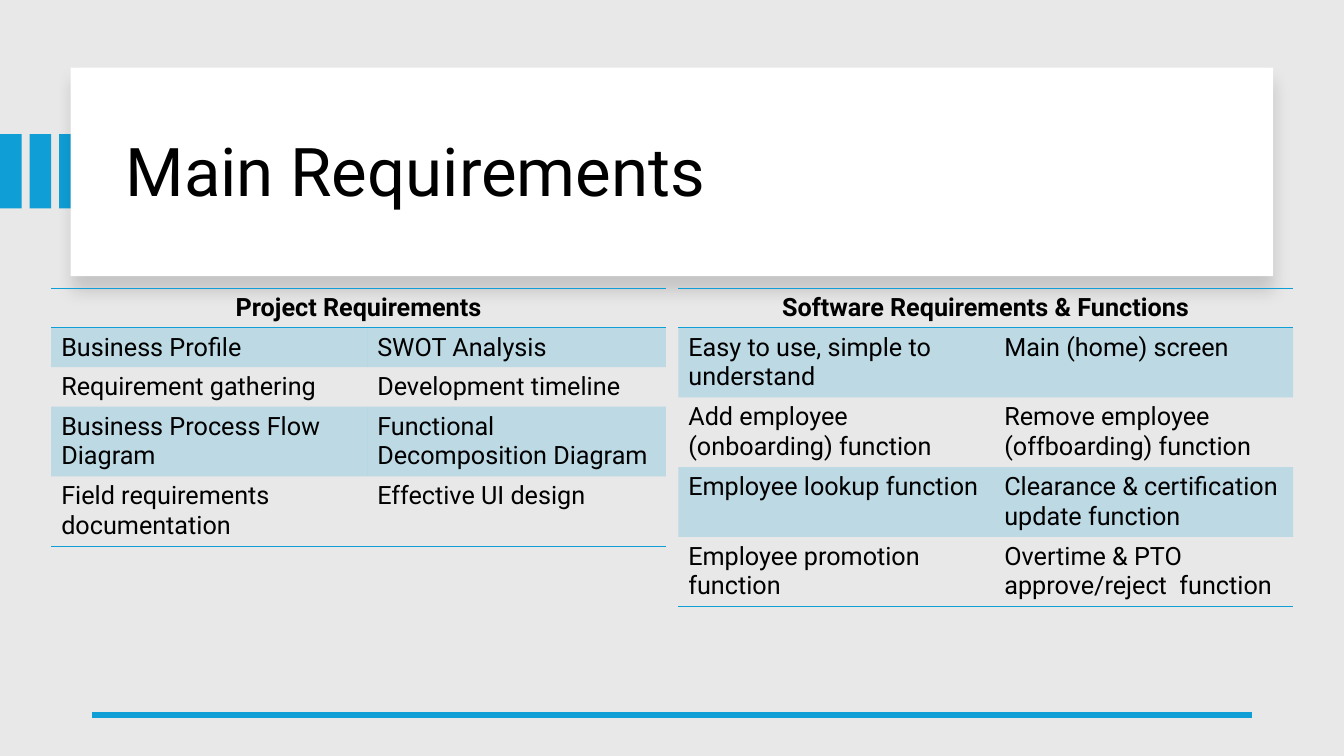
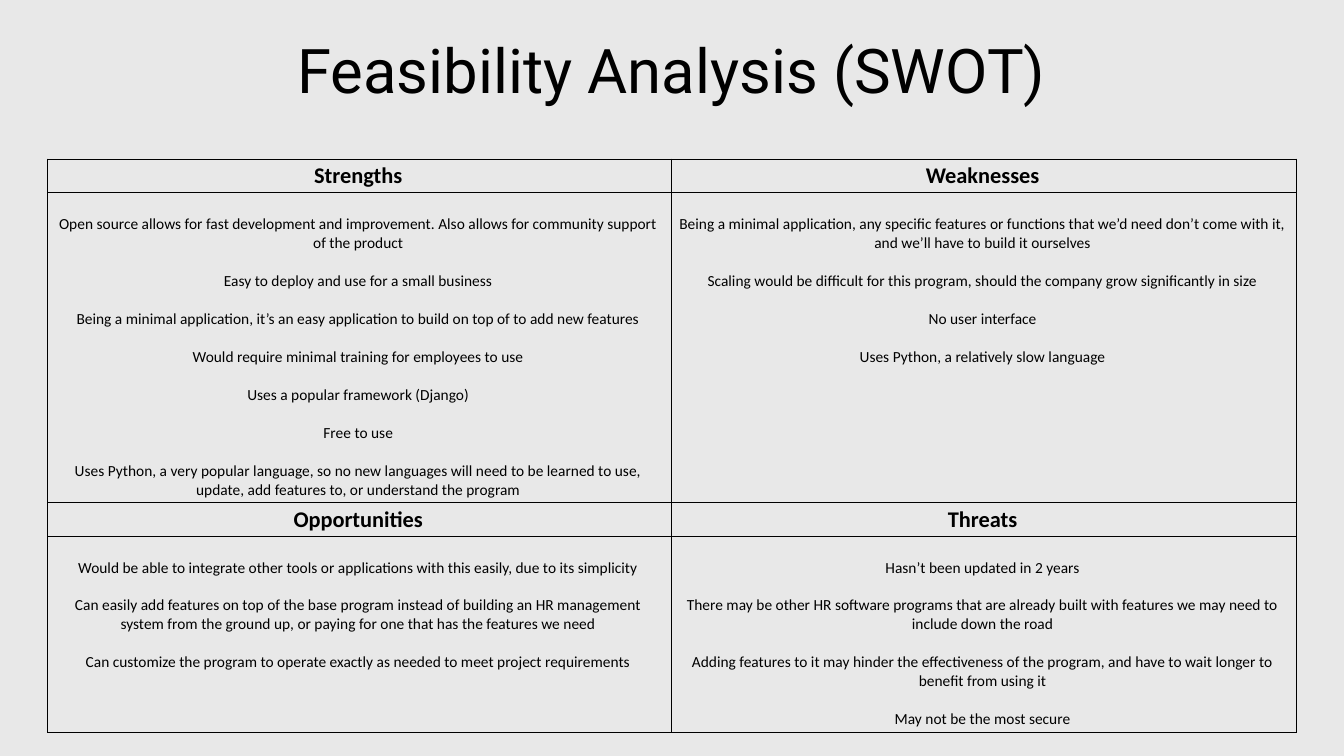
from lxml import etree
from pptx import Presentation
from pptx.dml.color import RGBColor
from pptx.enum import shapes, text
from pptx.oxml import ns
from pptx.util import Pt

BLUE = RGBColor(0x0F, 0x9E, 0xD5)
BLACK = RGBColor(0, 0, 0)
WHITE = RGBColor(0xFF, 0xFF, 0xFF)
GRAY = RGBColor(0xE8, 0xE8, 0xE8)
HEADING_FONT = "Roboto"
BODY_FONT = "Calibri"
NO_STYLE = "{2D5ABB26-0587-4C30-8999-92F81FD0307C}"

PROJECT = ("Project Requirements", [
    ("Business Profile", "SWOT Analysis"),
    ("Requirement gathering", "Development timeline"),
    ("Business Process Flow Diagram", "Functional Decomposition Diagram"),
    ("Field requirements documentation", "Effective UI design"),
], [28.2, 28.2, 28.2, 49.6, 49.6])

SOFTWARE = ("Software Requirements & Functions", [
    ("Easy to use, simple to understand", "Main (home) screen"),
    ("Add employee (onboarding) function", "Remove employee (offboarding) function"),
    ("Employee lookup function", "Clearance & certification update function"),
    ("Employee promotion function", "Overtime & PTO approve/reject  function"),
], [28.2] + [49.6] * 4)

SWOT = [
    [("Strengths", [
        "Open source allows for fast development and improvement. "
        "Also allows for community support of the product",
        "Easy to deploy and use for a small business",
        "Being a minimal application, it’s an easy application to build on top of to add new features",
        "Would require minimal training for employees to use",
        "Uses a popular framework (Django)",
        "Free to use",
        "Uses Python, a very popular language, so no new languages will need to be learned to use, "
        "update, add features to, or understand the program",
    ]), ("Weaknesses", [
        "Being a minimal application, any specific features or functions that we’d need "
        "don’t come with it, and we’ll have to build it ourselves",
        "Scaling would be difficult for this program, should the company grow significantly in size",
        "No user interface",
        "Uses Python, a relatively slow language",
    ])],
    [("Opportunities", [
        "Would be able to integrate other tools or applications with this easily, due to its simplicity",
        "Can easily add features on top of the base program instead of building an HR management system "
        "from the ground up, or paying for one that has the features we need",
        "Can customize the program to operate exactly as needed to meet project requirements",
    ]), ("Threats", [
        "Hasn’t been updated in 2 years",
        "There may be other HR software programs that are already built with features "
        "we may need to include down the road",
        "Adding features to it may hinder the effectiveness of the program, "
        "and have to wait longer to benefit from using it",
        "May not be the most secure",
    ])],
]


def add_xml(parent, tag, **attributes):
    return etree.SubElement(parent, ns.qn(tag), attributes)


def write(frame, lines, size, font=HEADING_FONT, bold=False,
          align=text.PP_ALIGN.LEFT, spacing=1.0, gap=0):
    for index, line in enumerate(lines):
        para = frame.paragraphs[0] if index == 0 else frame.add_paragraph()
        para.alignment = align
        para.line_spacing = spacing
        para.space_before = Pt(gap if index else 0)
        span = para.add_run()
        span.text = line
        span.font.size = Pt(size)
        span.font.name = font
        span.font.bold = bold
        span.font.color.rgb = BLACK


def new_page(deck):
    page = deck.slides.add_slide(deck.slide_layouts[6])
    page.background.fill.solid()
    page.background.fill.fore_color.rgb = GRAY
    return page


def add_title(page, box, words, size, align=text.PP_ALIGN.LEFT):
    frame = page.shapes.add_textbox(*map(Pt, box)).text_frame
    frame.word_wrap = True
    frame.vertical_anchor = text.MSO_ANCHOR.MIDDLE
    write(frame, [words], size, align=align, spacing=0.9)


def add_rectangle(page, box, color):
    shape = page.shapes.add_shape(shapes.MSO_SHAPE.RECTANGLE, *map(Pt, box))
    shape.shadow.inherit = False
    shape.fill.solid()
    shape.fill.fore_color.rgb = color
    shape.line.fill.background()
    return shape


def add_stripes(page, box, count=3):
    left, top, width, height = box
    bar = 15.4
    pitch = (width - bar) / (count - 1)
    for index in range(count):
        add_rectangle(page, (left + index * pitch, top, bar, height), BLUE)


def add_title_card(page, box):
    left, top, width, height = box
    add_stripes(page, (0, top + 47.4, 57.6, 53))
    card = add_rectangle(page, box, WHITE)
    effects = card.element.spPr.find(ns.qn("a:effectLst"))
    shadow = add_xml(effects, "a:outerShdw", blurRad=str(Pt(11)), dist=str(Pt(10)),
                     dir="5400000", algn="t", rotWithShape="0")
    color = add_xml(shadow, "a:srgbClr", val=str(BLACK))
    add_xml(color, "a:alpha", val="15000")
    add_title(page, (left + 32, top + 15, width - 58, 122.4), "Main Requirements", 48)


def add_rule(page, left, right, top):
    line = page.shapes.add_connector(shapes.MSO_CONNECTOR.STRAIGHT,
                                     Pt(left), Pt(top), Pt(right), Pt(top))
    line.line.color.rgb = BLUE
    line.line.width = Pt(4.5)
    add_xml(line.element.spPr, "a:effectLst")


def add_plain_table(page, left, top, columns, rows):
    holder = page.shapes.add_table(len(rows), len(columns), Pt(left), Pt(top),
                                   Pt(sum(columns)), Pt(sum(rows)))
    holder.element.find(".//" + ns.qn("a:tableStyleId")).text = NO_STYLE
    table = holder.table
    table.first_row = table.horz_banding = False
    for column, width in zip(table.columns, columns):
        column.width = Pt(width)
    for row, height in zip(table.rows, rows):
        row.height = Pt(height)
    return table


def style_cell(cell, sides="", color=BLACK, weight=1, tint=False):
    properties = cell._tc.get_or_add_tcPr()
    for side in sides:
        border = add_xml(properties, "a:ln" + side, w=str(Pt(weight)))
        add_xml(add_xml(border, "a:solidFill"), "a:srgbClr", val=str(color))
    if tint:
        cell.fill.solid()
        cell.fill.fore_color.rgb = BLUE
        fill = properties.find(ns.qn("a:solidFill"))
        add_xml(fill.find(ns.qn("a:srgbClr")), "a:alpha", val="20000")
    else:
        cell.fill.background()


def add_requirements(page, left, top, heading, items, heights):
    table = add_plain_table(page, left, top, [225.7, 213.4], heights)
    for cell in table.iter_cells():
        cell.margin_bottom = Pt(3)
    table.cell(0, 0).merge(table.cell(0, 1))
    write(table.cell(0, 0).text_frame, [heading], 18, bold=True, align=text.PP_ALIGN.CENTER)
    for column in range(2):
        style_cell(table.cell(0, column), "TB", BLUE)
        for row, pair in enumerate(items, 1):
            cell = table.cell(row, column)
            write(cell.text_frame, [pair[column]], 18)
            style_cell(cell, "B" if row == len(items) else "", BLUE, tint=row % 2 == 1)


def add_swot_cell(cell, lines, size, bold=False, lead=0):
    cell.margin_left = Pt(4.5)
    cell.margin_right = Pt(6.5)
    cell.margin_top = Pt(2.3 + lead)
    cell.margin_bottom = Pt(2.3)
    write(cell.text_frame, lines, size, BODY_FONT, bold, text.PP_ALIGN.CENTER, gap=lead)
    style_cell(cell, "LRTB", weight=0.75)


def add_swot(page, left, top, width):
    table = add_plain_table(page, left, top, [width / 2] * 2, [24, 221.3, 24, 140])
    for band, pair in enumerate(SWOT):
        for column, (heading, points) in enumerate(pair):
            add_swot_cell(table.cell(2 * band, column), [heading], 16, bold=True)
            add_swot_cell(table.cell(2 * band + 1, column), points, 11, lead=13.5)


def build_requirements(deck):
    page = new_page(deck)
    add_title_card(page, (50.5, 48.4, 859, 149))
    add_rule(page, 66, 894, 510.5)
    add_requirements(page, 36.6, 205.9, *PROJECT)
    add_requirements(page, 484.5, 205.9, *SOFTWARE)


def build_swot(deck):
    page = new_page(deck)
    add_title(page, (66, 0, 828, 104.4), "Feasibility Analysis (SWOT)", 44,
              text.PP_ALIGN.CENTER)
    add_swot(page, 33.9, 113.7, 892)


def main():
    deck = Presentation()
    deck.slide_width, deck.slide_height = Pt(960), Pt(540)
    build_requirements(deck)
    build_swot(deck)
    deck.save("out.pptx")


if __name__ == "__main__":
    main()
